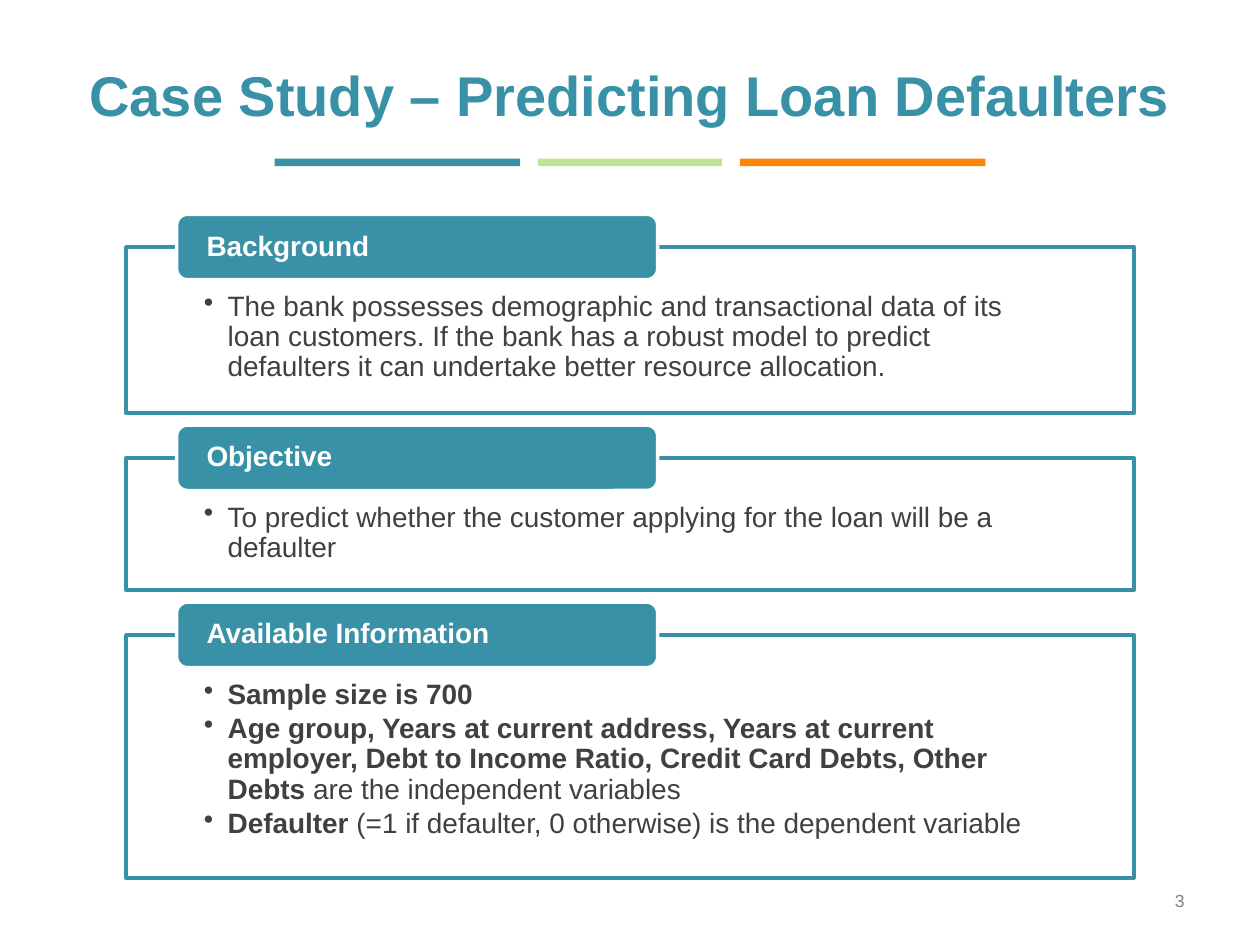
import lxml.etree
import pptx
import pptx.dml.color
import pptx.enum.shapes
import pptx.enum.text
import pptx.oxml.ns
import pptx.util

Cm = pptx.util.Cm
Pt = pptx.util.Pt
ShapeType = pptx.enum.shapes.MSO_SHAPE
Anchor = pptx.enum.text.MSO_ANCHOR
Align = pptx.enum.text.PP_ALIGN

SLIDE_WIDTH, SLIDE_HEIGHT = 25.4, 19.05
BARS = [(4.95, "3891A7"), (3.71, "BEE396"), (4.95, "FF850A")]
BAR_GAP = 0.36
PANEL_GAP = 0.9
PANELS = [
    ("Background", 3.35, [
        [("The bank possesses demographic and transactional data of its loan customers. "
          "If the bank has a robust model to predict defaulters it can undertake better "
          "resource allocation.", False)],
    ]),
    ("Objective", 2.67, [
        [("To predict whether the customer applying for the loan will be a defaulter", False)],
    ]),
    ("Available Information", 4.9, [
        [("Sample size is 700", True)],
        [("Age group, Years at current address, Years at current employer, "
          "Debt to Income Ratio, Credit Card Debts, Other Debts ", True),
         ("are the independent variables", False)],
        [("Defaulter ", True),
         ("(=1 if defaulter, 0 otherwise) is the dependent variable", False)],
    ]),
]


def rgb(value):
    return pptx.dml.color.RGBColor.from_string(value)


class SlideBuilder:
    """Hold the style and the current slide, and draw its elements."""

    font = "Arial"
    accent = "3891A7"
    body = "404040"
    muted = "808080"
    white = "FFFFFF"
    text_size = 16

    def __init__(self, slide):
        self.slide = slide

    def add_box(self, kind, left, top, width, height, fill, line=None):
        shape = self.slide.shapes.add_shape(kind, Cm(left), Cm(top), Cm(width), Cm(height))
        shape.shadow.inherit = False
        shape.fill.solid()
        shape.fill.fore_color.rgb = rgb(fill)
        if line:
            shape.line.color.rgb = rgb(line)
            shape.line.width = Pt(2)
        else:
            shape.line.fill.background()
        return shape

    def set_frame(self, shape, anchor, side=0.25, top=0.13, bottom=0.13):
        frame = shape.text_frame
        frame.word_wrap = True
        frame.vertical_anchor = anchor
        frame.margin_left = frame.margin_right = Cm(side)
        frame.margin_top, frame.margin_bottom = Cm(top), Cm(bottom)
        return frame

    def add_run(self, paragraph, text, size, color, bold=False):
        run = paragraph.add_run()
        run.text = text
        run.font.name = self.font
        run.font.size = Pt(size)
        run.font.bold = bold
        run.font.color.rgb = rgb(color)

    def add_label(self, text, left, top, width, height, size, color, align, bold=False):
        shape = self.slide.shapes.add_textbox(Cm(left), Cm(top), Cm(width), Cm(height))
        paragraph = self.set_frame(shape, Anchor.MIDDLE).paragraphs[0]
        paragraph.alignment = align
        self.add_run(paragraph, text, size, color, bold)

    def add_bullet(self, paragraph):
        properties = paragraph._p.get_or_add_pPr()
        properties.set("marL", str(Cm(0.48)))
        properties.set("indent", str(-Cm(0.48)))
        bullet = lxml.etree.SubElement(properties, pptx.oxml.ns.qn("a:buChar"))
        bullet.set("char", "•")

    def add_bars(self, bars, top, height, gap):
        total = sum(width for width, color in bars) + gap * (len(bars) - 1)
        left = (SLIDE_WIDTH - total) / 2
        for width, color in bars:
            self.add_box(ShapeType.RECTANGLE, left, top, width, height, color)
            left += width + gap

    def add_panel(self, heading, bullets, top, height):
        panel = self.add_box(ShapeType.RECTANGLE, 2.54, top, 20.32, height,
                             self.white, self.accent)
        frame = self.set_frame(panel, Anchor.TOP, 1.57, 0.91, 0.3)
        for index, runs in enumerate(bullets):
            paragraph = frame.add_paragraph() if index else frame.paragraphs[0]
            self.add_bullet(paragraph)
            paragraph.alignment = Align.LEFT
            paragraph.line_spacing = 0.9
            paragraph.space_after = Pt(2.4)
            for text, bold in runs:
                self.add_run(paragraph, text, self.text_size, self.body, bold)

        tab = self.add_box(ShapeType.ROUNDED_RECTANGLE, 3.56, top - 0.66, 9.7, 1.32,
                           self.accent, self.white)
        paragraph = self.set_frame(tab, Anchor.MIDDLE, 0.54, 0, 0).paragraphs[0]
        paragraph.alignment = Align.LEFT
        paragraph.line_spacing = 0.9
        self.add_run(paragraph, heading, self.text_size, self.white, True)


def main():
    presentation = pptx.Presentation()
    presentation.slide_width = Cm(SLIDE_WIDTH)
    presentation.slide_height = Cm(SLIDE_HEIGHT)
    builder = SlideBuilder(presentation.slides.add_slide(presentation.slide_layouts[6]))

    builder.add_label("Case Study – Predicting Loan Defaulters", 1.27, 0.76, 22.86, 2.26,
                      32, builder.accent, Align.CENTER, True)
    builder.add_bars(BARS, 3.2, 0.15, BAR_GAP)
    top = 4.98
    for heading, height, bullets in PANELS:
        builder.add_panel(heading, bullets, top, height)
        top += height + PANEL_GAP
    builder.add_label("3", 18.21, 17.65, 5.92, 1.02, 10, builder.muted, Align.RIGHT)

    presentation.save("out.pptx")


if __name__ == "__main__":
    main()
